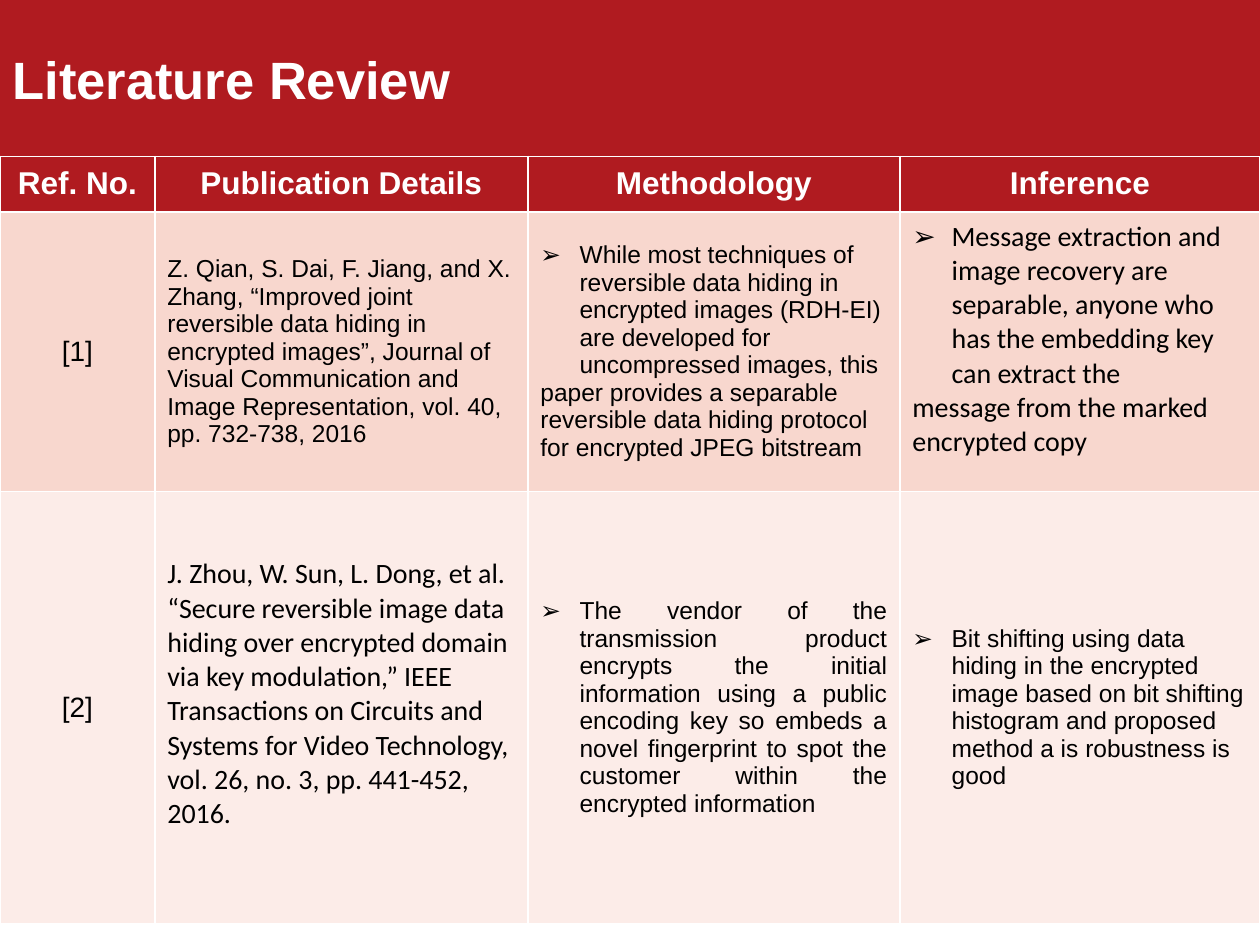
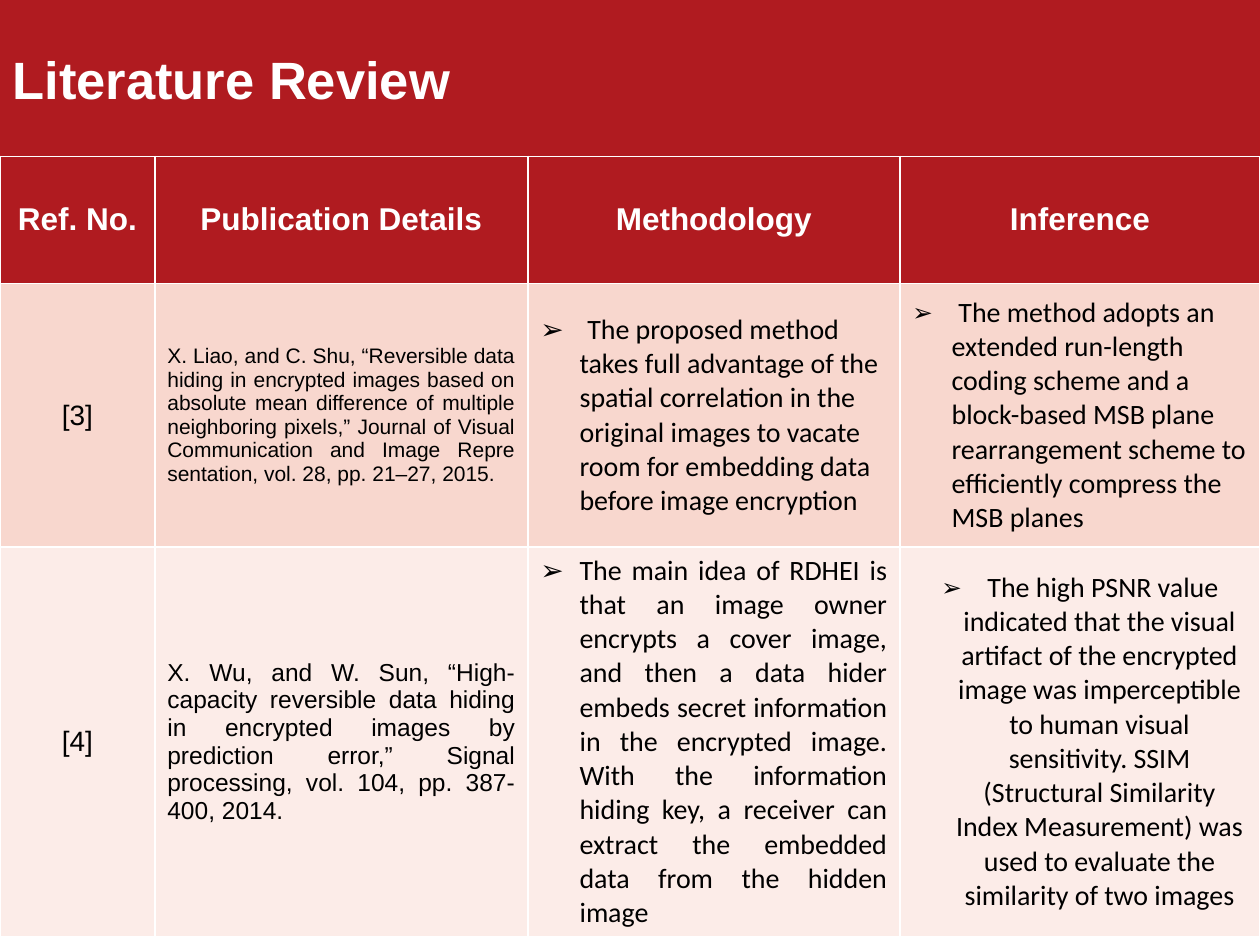
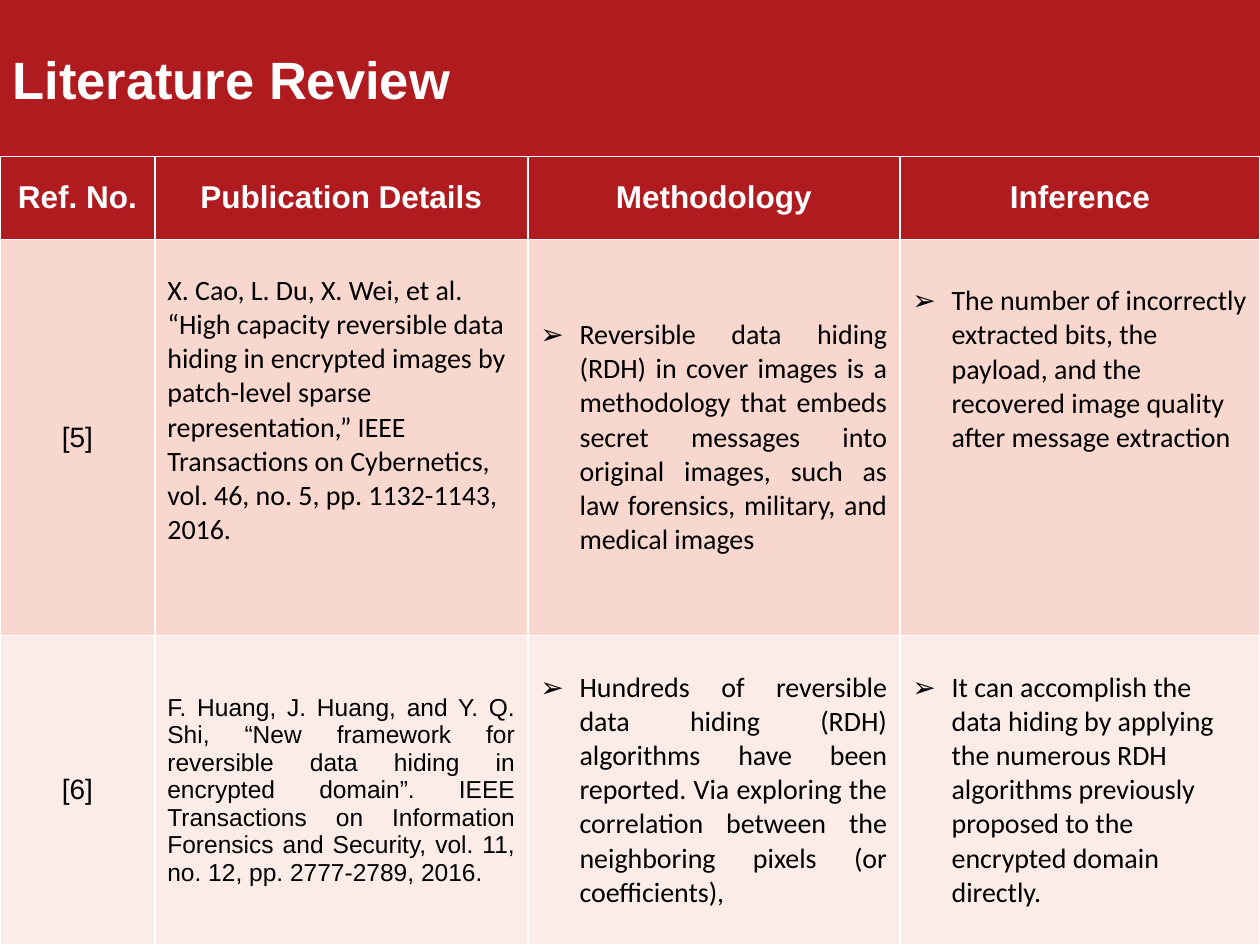
import pptx
import pptx.util
import pptx.dml.color
import pptx.enum.text
import lxml.etree

Cm = pptx.util.Cm
ALIGN = pptx.enum.text.PP_ALIGN
MIDDLE = pptx.enum.text.MSO_ANCHOR.MIDDLE

# Shared look
RED, WHITE, BLACK = "B01B20", "FFFFFF", "000000"
ROW_FILLS = [RED, "F8D7CE", "FCECE8"]
TITLE = "Literature Review"
HEADINGS = ["Ref. No.", "Publication Details", "Methodology", "Inference"]
SLIDE_WIDTH, SLIDE_HEIGHT, BAND_HEIGHT = 25.4, 19.05, 3.15
COLUMN_WIDTHS = [3.12, 7.52, 7.5, 7.26]
BULLET_INDENT = 0.79
CELL_MARGIN = 0.13
GAP = " "

# Text formats
TITLE_FONT = {"name": "Arial", "size": 30, "bold": True, "color": WHITE}
HEADING_FONT = {**TITLE_FONT, "size": 18}
ARIAL_16 = {"name": "Arial", "size": 16, "bold": False, "color": BLACK}
ARIAL_14 = {**ARIAL_16, "size": 14}
ARIAL_12 = {**ARIAL_16, "size": 12}
CALIBRI = {**ARIAL_16, "name": "Calibri"}


def entry(*texts, font=CALIBRI, align=ALIGN.LEFT, bullet=True, gap_font=None, below=0):
    """One table cell: the first paragraph may have a bullet, below is extra space in cm."""
    return {"texts": texts, "font": font, "align": align, "bullet": bullet,
            "gap_font": gap_font, "below": below}


# Content: row heights in cm, then the papers on each slide
SLIDES = [
    {"heights": [1.12, 5.64, 8.71], "papers": [
        ("[1]",
         entry("Z. Qian, S. Dai, F. Jiang, and X. Zhang, “Improved joint reversible data hiding in "
               "encrypted images”, Journal of Visual Communication and Image Representation, "
               "vol. 40, pp. 732-738, 2016", font=ARIAL_14, bullet=False),
         entry("While most techniques of reversible data hiding in encrypted images (RDH-EI) are "
               "developed for uncompressed images, this",
               "paper provides a separable reversible data hiding protocol for encrypted JPEG "
               "bitstream", font=ARIAL_14),
         entry("Message extraction and image recovery are separable, anyone who has the embedding "
               "key can extract the",
               "message from the marked encrypted copy", below=0.5)),
        ("[2]",
         entry("J. Zhou, W. Sun, L. Dong, et al. “Secure reversible image data hiding over "
               "encrypted domain via key modulation,” IEEE Transactions on Circuits and Systems "
               "for Video Technology, vol. 26, no. 3, pp. 441-452, 2016.",
               bullet=False, below=0.54),
         entry("The vendor of the transmission product encrypts the initial information using a "
               "public encoding key so embeds a novel fingerprint to spot the customer within the "
               "encrypted information", font=ARIAL_14, align=ALIGN.JUSTIFY),
         entry("Bit shifting using data hiding in the encrypted image based on bit shifting "
               "histogram and proposed method a is robustness is good", font=ARIAL_14)),
    ]},
    {"heights": [2.57, 5.31, 7.85], "papers": [
        ("[3]",
         entry("X. Liao, and C. Shu, “Reversible data hiding in encrypted images based on absolute "
               "mean difference of multiple neighboring pixels,” Journal of Visual Communication "
               "and Image Repre sentation, vol. 28, pp. 21–27, 2015.",
               font=ARIAL_12, align=ALIGN.JUSTIFY, bullet=False),
         entry("The proposed method takes full advantage of the spatial correlation in the "
               "original images to vacate room for embedding data before image encryption",
               gap_font=ARIAL_16),
         entry("The method adopts an extended run-length coding scheme and a block-based MSB plane "
               "rearrangement scheme to efficiently compress the MSB planes", gap_font=ARIAL_14)),
        ("[4]",
         entry("X. Wu, and W. Sun, “High-capacity reversible data hiding in encrypted images by "
               "prediction error,” Signal processing, vol. 104, pp. 387-400, 2014.",
               font=ARIAL_14, align=ALIGN.JUSTIFY, bullet=False),
         entry("The main idea of RDHEI is that an image owner encrypts a cover image, and then a "
               "data hider embeds secret information in the encrypted image. With the information "
               "hiding key, a receiver can extract the embedded data from the hidden image",
               align=ALIGN.JUSTIFY),
         entry("The high PSNR value indicated that the visual artifact of the encrypted image was "
               "imperceptible to human visual sensitivity. SSIM (Structural Similarity Index "
               "Measurement) was used to evaluate the similarity of two images",
               align=ALIGN.CENTER, gap_font=ARIAL_14)),
    ]},
    {"heights": [1.68, 7.98, 6.24], "papers": [
        ("[5]",
         entry("X. Cao, L. Du, X. Wei, et al. “High capacity reversible data hiding in encrypted "
               "images by patch-level sparse representation,” IEEE Transactions on Cybernetics, "
               "vol. 46, no. 5, pp. 1132-1143, 2016.", bullet=False, below=1.09),
         entry("Reversible data hiding (RDH) in cover images is a methodology that embeds secret "
               "messages into original images, such as law forensics, military, and medical images",
               align=ALIGN.JUSTIFY),
         entry("The number of incorrectly extracted bits, the payload, and the recovered image "
               "quality after message extraction", below=2.74)),
        ("[6]",
         entry("F. Huang, J. Huang, and Y. Q. Shi, “New framework for reversible data hiding in "
               "encrypted domain”. IEEE Transactions on Information Forensics and Security, "
               "vol. 11, no. 12, pp. 2777-2789, 2016.",
               font=ARIAL_14, align=ALIGN.JUSTIFY, bullet=False),
         entry("Hundreds of reversible data hiding (RDH) algorithms have been reported. Via "
               "exploring the correlation between the neighboring pixels (or coefficients),",
               align=ALIGN.JUSTIFY),
         entry("It can accomplish the data hiding by applying the numerous RDH algorithms "
               "previously proposed to the encrypted domain directly.")),
    ]},
]


def color(value):
    return pptx.dml.color.RGBColor.from_string(value)


def fill_with(target, value):
    target.fill.solid()
    target.fill.fore_color.rgb = color(value)


def add_run(paragraph, text, font_format):
    run = paragraph.add_run()
    run.text = text
    for name, value in font_format.items():
        if name == "color":
            run.font.color.rgb = color(value)
        else:
            setattr(run.font, name, pptx.util.Pt(value) if name == "size" else value)


def add_bullet(paragraph):
    properties = paragraph._p.get_or_add_pPr()
    properties.set("marL", str(Cm(BULLET_INDENT)))
    properties.set("indent", str(-Cm(BULLET_INDENT)))
    namespace = "{" + properties.nsmap["a"] + "}"
    lxml.etree.SubElement(properties, namespace + "buFont", typeface="Arial")
    lxml.etree.SubElement(properties, namespace + "buChar", char="➢")


def add_title(slide):
    title = slide.shapes.title
    place = {"left": 0, "top": 0, "width": SLIDE_WIDTH, "height": BAND_HEIGHT}
    for name, value in place.items():
        setattr(title, name, Cm(value))
    fill_with(title, RED)
    frame = title.text_frame
    frame.auto_size = pptx.enum.text.MSO_AUTO_SIZE.NONE
    frame.vertical_anchor = MIDDLE
    frame.paragraphs[0].alignment = ALIGN.LEFT
    add_run(frame.paragraphs[0], TITLE, TITLE_FONT)


def fill_cell(cell, content, background):
    fill_with(cell, background)
    cell.vertical_anchor = MIDDLE
    cell.margin_bottom = Cm(CELL_MARGIN + content["below"])
    frame = cell.text_frame
    for index, text in enumerate(content["texts"]):
        paragraph = frame.add_paragraph() if index else frame.paragraphs[0]
        paragraph.alignment = content["align"]
        if content["bullet"] and index == 0:
            add_bullet(paragraph)
        if content["gap_font"]:
            add_run(paragraph, GAP, content["gap_font"])
        add_run(paragraph, text, content["font"])


def add_review_table(slide, heights, papers):
    centred = {"align": ALIGN.CENTER, "bullet": False}
    rows = [[entry(heading, font=HEADING_FONT, **centred) for heading in HEADINGS]]
    for reference, *details in papers:
        rows.append([entry(reference, font=ARIAL_16, **centred), *details])

    table = slide.shapes.add_table(len(rows), len(HEADINGS), 0, Cm(BAND_HEIGHT),
                                   Cm(SLIDE_WIDTH), Cm(sum(heights))).table
    for column, width in zip(table.columns, COLUMN_WIDTHS):
        column.width = Cm(width)
    for row, height, contents, background in zip(table.rows, heights, rows, ROW_FILLS):
        row.height = Cm(height)
        for cell, content in zip(row.cells, contents):
            fill_cell(cell, content, background)


def main():
    presentation = pptx.Presentation()
    presentation.slide_width = Cm(SLIDE_WIDTH)
    presentation.slide_height = Cm(SLIDE_HEIGHT)
    title_only = presentation.slide_layouts[5]
    for content in SLIDES:
        slide = presentation.slides.add_slide(title_only)
        add_title(slide)
        add_review_table(slide, **content)
    presentation.save("out.pptx")


if __name__ == "__main__":
    main()
